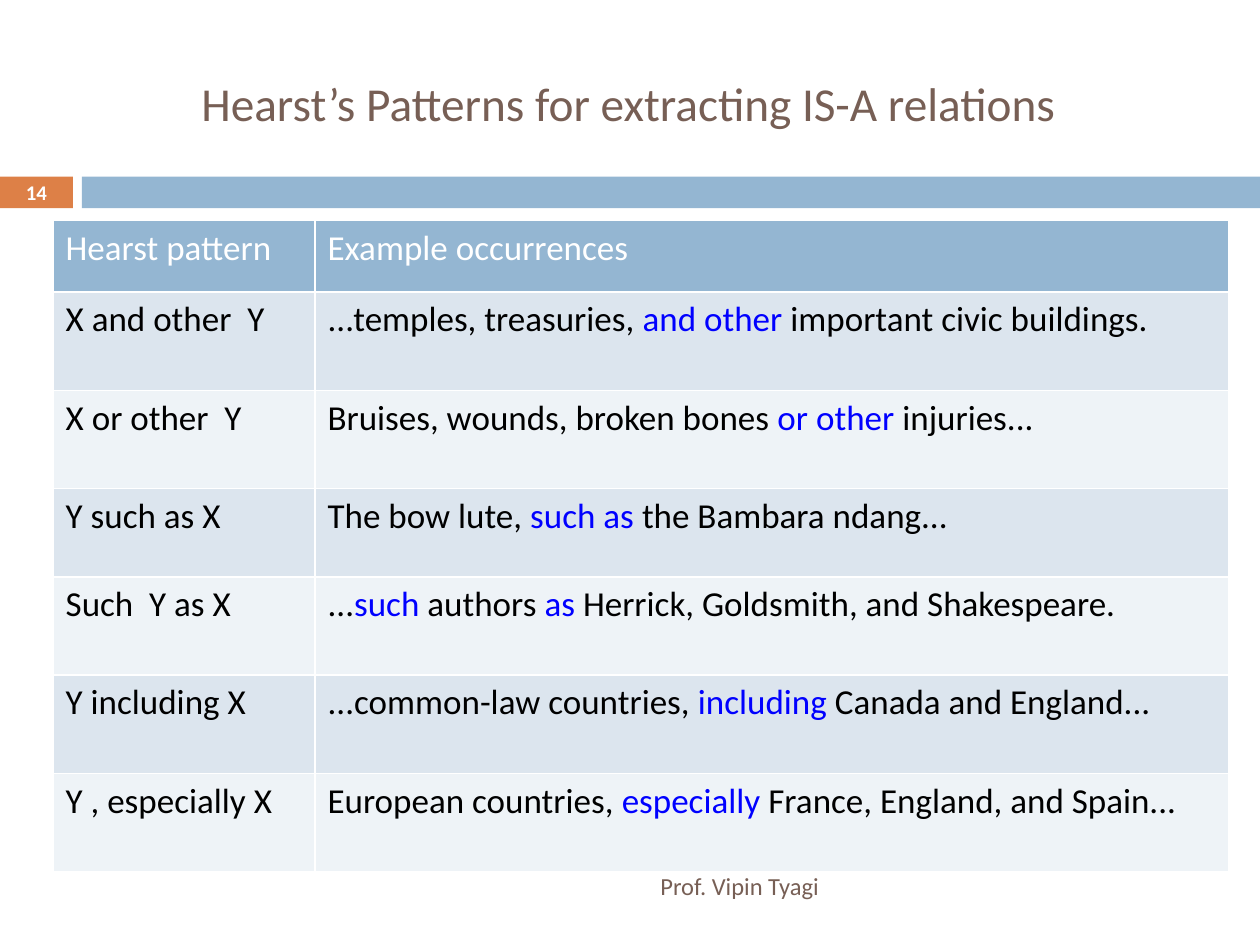
from lxml import etree
from pptx import Presentation
from pptx import util as u
from pptx.dml.color import RGBColor
from pptx.enum import shapes, text
from pptx.oxml.ns import qn

FONT = "Calibri"
WHITE, BLACK, BROWN = "FFFFFF", "000000", "775F55"
BLUE, ORANGE, HIGHLIGHT = "94B6D2", "DD8047", "0000FF"
BANDS = ["DCE5EE", "EEF3F7"]

COLUMNS = [5.28, 18.42]
ROW_HEIGHTS = [1.44, 1.98, 1.98, 1.78, 1.98, 1.98, 1.98]
HEADER = ("Hearst pattern", "Example occurrences")
PATTERNS = [
    ("X and other  Y", "...temples, treasuries, |and other |important civic buildings."),
    ("X or other  Y", "Bruises, wounds, broken bones |or other |injuries..."),
    ("Y such as X", "The bow lute, |such as |the Bambara ndang..."),
    ("Such  Y as X", "...|such| authors |as| Herrick, Goldsmith, and Shakespeare."),
    ("Y including X", "...common-law countries, |including| Canada and England..."),
    ("Y , especially X", "European countries, |especially| France, England, and Spain..."),
]


def color(value):
    return RGBColor.from_string(value)


def fill(target, value):
    target.fill.solid()
    target.fill.fore_color.rgb = color(value)


def style(p, size, value, bold=False):
    p.font.name = FONT
    p.font.size = u.Pt(size)
    p.font.bold = bold
    p.font.color.rgb = color(value)


def add_bar(s, left, width, value):
    sp = s.shapes.add_shape(shapes.MSO_SHAPE.RECTANGLE, u.Cm(left), u.Cm(3.56),
                            u.Cm(width), u.Cm(0.64))
    sp.shadow.inherit = False
    fill(sp, value)
    sp.line.fill.background()


def add_label(s, box, words, size, value, align, bold=False):
    sp = s.shapes.add_textbox(*map(u.Cm, box))
    tf = sp.text_frame
    tf.word_wrap = True
    tf.vertical_anchor = text.MSO_ANCHOR.MIDDLE
    p = tf.paragraphs[0]
    p.text = words
    p.alignment = align
    style(p, size, value, bold)


def add_borders(cell):
    tcPr = cell._tc.get_or_add_tcPr()
    for i, side in enumerate(("lnL", "lnR", "lnT", "lnB")):
        ln = etree.Element(qn(f"a:{side}"), w=str(u.Pt(1)))
        solid = etree.SubElement(ln, qn("a:solidFill"))
        etree.SubElement(solid, qn("a:srgbClr"), val=WHITE)
        tcPr.insert(i, ln)


def fill_cell(cell, words, background, value):
    fill(cell, background)
    add_borders(cell)
    p = cell.text_frame.paragraphs[0]
    style(p, 20, value)
    for i, part in enumerate(words.split("|")):
        r = p.add_run()
        r.text = part
        if i % 2:
            r.font.color.rgb = color(HIGHLIGHT)


def add_pattern_table(s):
    rows = [HEADER] + PATTERNS
    frame = s.shapes.add_table(len(rows), len(COLUMNS), u.Cm(1.07), u.Cm(4.45),
                               u.Cm(sum(COLUMNS)), u.Cm(sum(ROW_HEIGHTS)))
    table = frame.table
    for column, width in zip(table.columns, COLUMNS):
        column.width = u.Cm(width)
    for i, (row, height, words) in enumerate(zip(table.rows, ROW_HEIGHTS, rows)):
        row.height = u.Cm(height)
        background, value = (BANDS[(i - 1) % 2], BLACK) if i else (BLUE, WHITE)
        for cell, content in zip(row.cells, words):
            fill_cell(cell, content, background, value)


def main():
    prs = Presentation()
    prs.slide_width, prs.slide_height = u.Cm(25.4), u.Cm(19.05)
    s = prs.slides.add_slide(prs.slide_layouts[6])
    align = text.PP_ALIGN
    add_bar(s, 0, 1.47, ORANGE)
    add_bar(s, 1.65, 23.75, BLUE)
    add_label(s, (3.81, 0.79, 21.39, 2.54),
              "Hearst’s Patterns for extracting IS-A relations", 27, BROWN, align.LEFT)
    add_pattern_table(s)
    add_label(s, (0, 3.53, 1.47, 0.69), "14", 11.9, WHITE, align.CENTER, bold=True)
    add_label(s, (1.7, 17.35, 15.06, 1.02), "Prof. Vipin Tyagi", 14, BROWN, align.RIGHT)
    prs.save("out.pptx")


if __name__ == "__main__":
    main()
